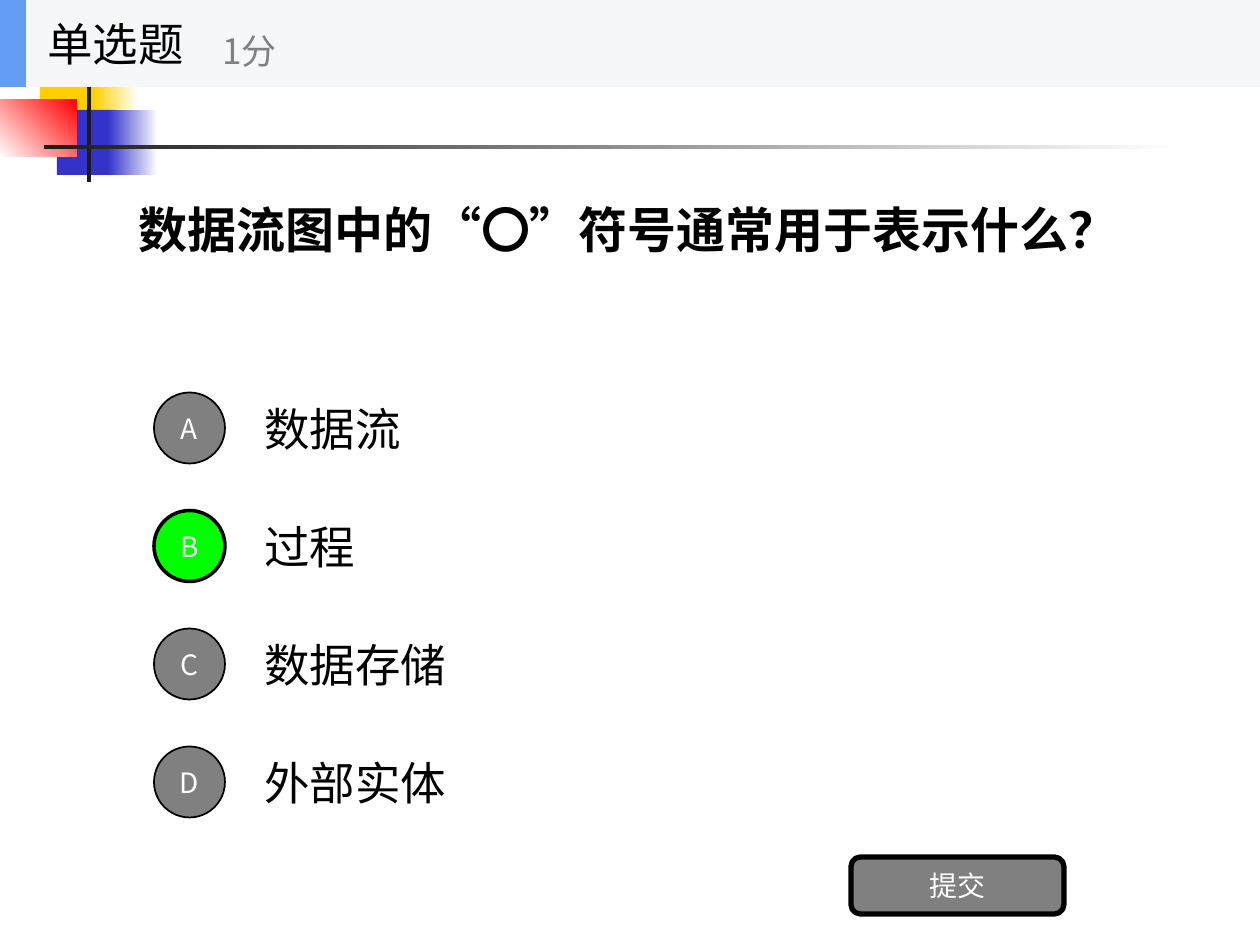
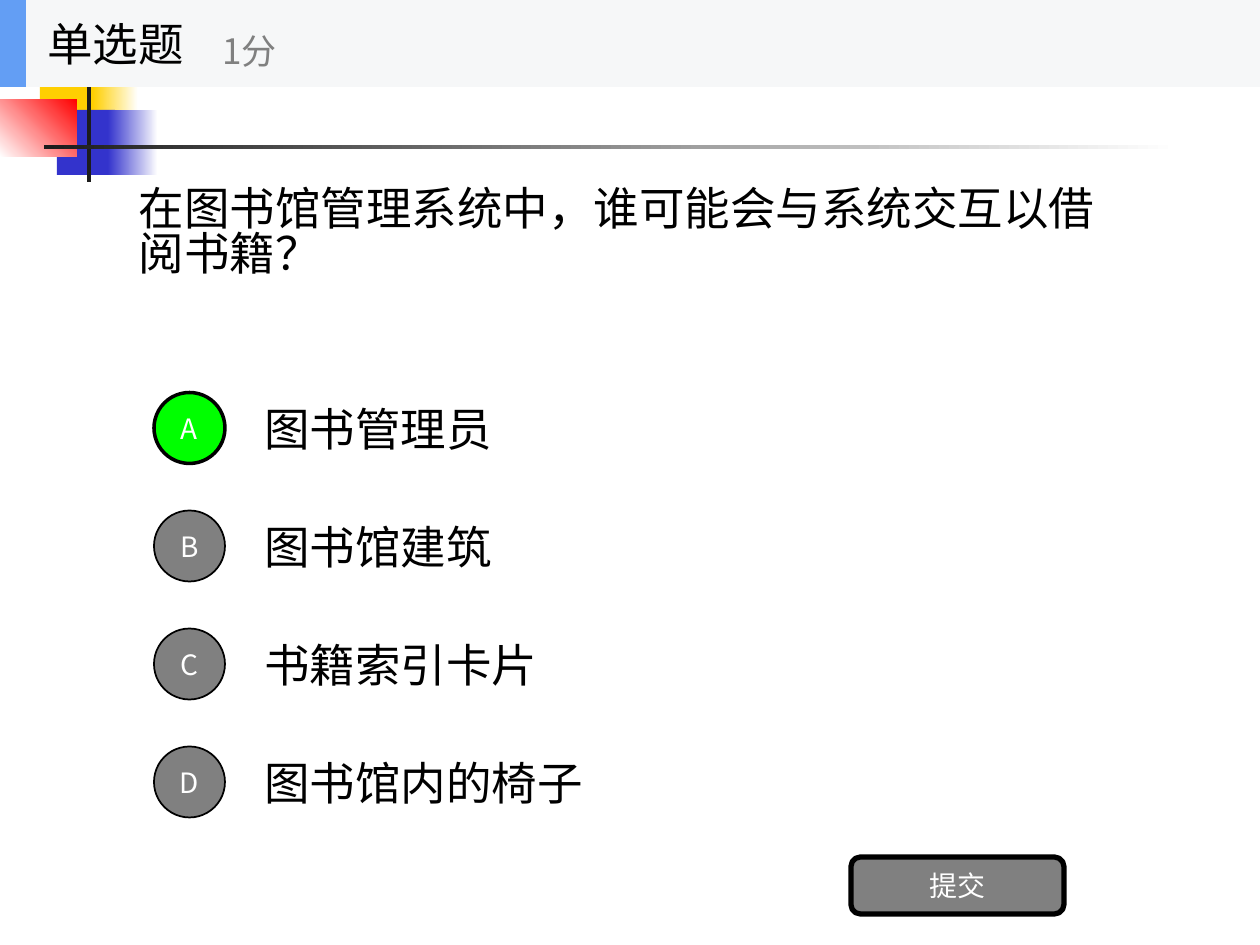
from lxml import etree
from pptx import Presentation
from pptx.dml.color import RGBColor
from pptx.enum.shapes import MSO_SHAPE
from pptx.enum.text import MSO_ANCHOR, MSO_AUTO_SIZE, PP_ALIGN
from pptx.oxml.ns import qn
from pptx.util import Emu, Pt

RECTANGLE, OVAL, ROUNDED = MSO_SHAPE.RECTANGLE, MSO_SHAPE.OVAL, MSO_SHAPE.ROUNDED_RECTANGLE
LEFT, CENTER = PP_ALIGN.LEFT, PP_ALIGN.CENTER
MIDDLE, NO_FIT = MSO_ANCHOR.MIDDLE, MSO_AUTO_SIZE.NONE

QUESTIONS = [
    {"text": "数据流图中的“〇”符号通常用于表示什么？",
     "style": {"size": 28, "bold": True, "latin": "Lato"},
     "options": ["数据流", "过程", "数据存储", "外部实体"],
     "answer": "B"},
    {"text": "在图书馆管理系统中，谁可能会与系统交互以借阅书籍？",
     "style": {"size": 26},
     "options": ["图书管理员", "图书馆建筑", "书籍索引卡片", "图书馆内的椅子"],
     "answer": "A"},
]
KIND, SCORE, SUBMIT = "单选题", "1分", "提交"

FONT = "Noto Sans CJK SC"
COLORS = {
    "black": "000000", "white": "FFFFFF", "grey": "808080", "right": "00FF00",
    "yellow": "FFCF01", "blue": "3333CC", "red": "FF0000", "rule": "1C1C1C",
    "band": "F6F7F8", "accent": "639EF4",
}
# Box in px, colours (two make a gradient), gradient angle
ORNAMENTS = [
    ((40, 50, 60, 66), ["yellow"], 0),
    ((93, 50, 45, 66), ["yellow", "white"], 0),
    ((57, 110, 58, 65), ["blue"], 0),
    ((108, 110, 50, 65), ["blue", "white"], 0),
    ((0, 99, 77, 58), ["white", "red"], 45),
    ((87, 37, 4, 145), ["rule"], 0),
    ((44, 145, 1134, 4), ["rule", "white"], 0),
]
PX_PER_INCH = 126
SLIDE = (1260, 945)
QUESTION_BOX = (126, 87, 1008, 295)
OPTION_LEFT, OPTION_TOP, OPTION_WIDTH, OPTION_HEIGHT = 252, 384, 882, 88
OPTION_PITCH = 118
BADGE_LEFT, BADGE_SIZE = 154, 71
SUBMIT_BOX = (851, 857, 213, 57)


def px(length):
    return Emu(round(length * 914400 / PX_PER_INCH))


def rgb(name):
    return RGBColor.from_string(COLORS[name])


def write(shape, text, size, color="black", align=LEFT, bold=False, latin=FONT, wrap=True):
    frame = shape.text_frame
    frame.text = text
    frame.word_wrap = wrap
    frame.auto_size = NO_FIT
    frame.vertical_anchor = MIDDLE
    para = frame.paragraphs[0]
    para.alignment = align
    para.font.size = Pt(size)
    para.font.bold = bold
    para.font.color.rgb = rgb(color)
    para.font.name = latin
    defaults = para._p.pPr.find(qn("a:defRPr"))
    etree.SubElement(defaults, qn("a:ea"), typeface=FONT)
    return para


def add_box(shapes, kind, box, colors, angle=0, line=None):
    """Add a shape with a plain or two-colour fill and an optional black line."""
    shape = shapes.add_shape(kind, *map(px, box))
    shape.shadow.inherit = False
    if len(colors) == 1:
        shape.fill.solid()
        shape.fill.fore_color.rgb = rgb(colors[0])
    else:
        shape.fill.gradient()
        shape.fill.gradient_angle = angle
        for stop, color in zip(shape.fill.gradient_stops, colors):
            stop.color.rgb = rgb(color)
    if line:
        shape.line.color.rgb = rgb("black")
        shape.line.width = Pt(line)
    else:
        shape.line.fill.background()
    return shape


def add_label(shapes, box, text, size, **style):
    write(shapes.add_textbox(*map(px, box)), text, size, **style)


def decorate_layout(layout, page):
    """Draw the ornaments on a page, then move them to its layout."""
    for box, colors, angle in ORNAMENTS:
        ornament = add_box(page.shapes, RECTANGLE, box, colors, angle)
        layout.shapes.element.append(ornament.element)


def add_header(page):
    shapes = page.shapes.add_group_shape().shapes
    add_box(shapes, RECTANGLE, (0, 0, SLIDE[0], 87), ["band"])
    add_box(shapes, RECTANGLE, (0, 0, 26, 87), ["accent"])
    add_label(shapes, (35, 0, 262, 87), KIND, 26, wrap=False)
    add_label(shapes, (210, 15, 315, 71), SCORE, 20, color="grey", wrap=False)


def add_question(page, question):
    title = page.shapes.title
    title.left, title.top, title.width, title.height = map(px, QUESTION_BOX)
    para = write(title, question["text"], **question["style"])
    para.line_spacing = 0.82


def add_options(page, options, answer):
    tops = [OPTION_TOP + row * OPTION_PITCH for row in range(len(options))]
    for top, option in zip(tops, options):
        add_label(page.shapes, (OPTION_LEFT, top, OPTION_WIDTH, OPTION_HEIGHT), option, 26)
    for top, letter in zip(tops, "ABCD"):
        color, line = ("right", 2) if letter == answer else ("grey", 1)
        badge_top = top + (OPTION_HEIGHT - BADGE_SIZE) / 2
        badge = add_box(page.shapes, OVAL, (BADGE_LEFT, badge_top, BADGE_SIZE, BADGE_SIZE),
                        [color], line=line)
        write(badge, letter, 16, "white", CENTER, wrap=False)


def main():
    deck = Presentation()
    deck.slide_width, deck.slide_height = map(px, SLIDE)
    layout = deck.slide_layouts.get_by_name("Title Only")
    for number, question in enumerate(QUESTIONS):
        page = deck.slides.add_slide(layout)
        if number == 0:
            decorate_layout(layout, page)
        add_question(page, question)
        add_options(page, question["options"], question["answer"])
        button = add_box(page.shapes, ROUNDED, SUBMIT_BOX, ["grey"], line=3)
        write(button, SUBMIT, 16, "white", CENTER)
        add_header(page)
    deck.save("out.pptx")


if __name__ == "__main__":
    main()
